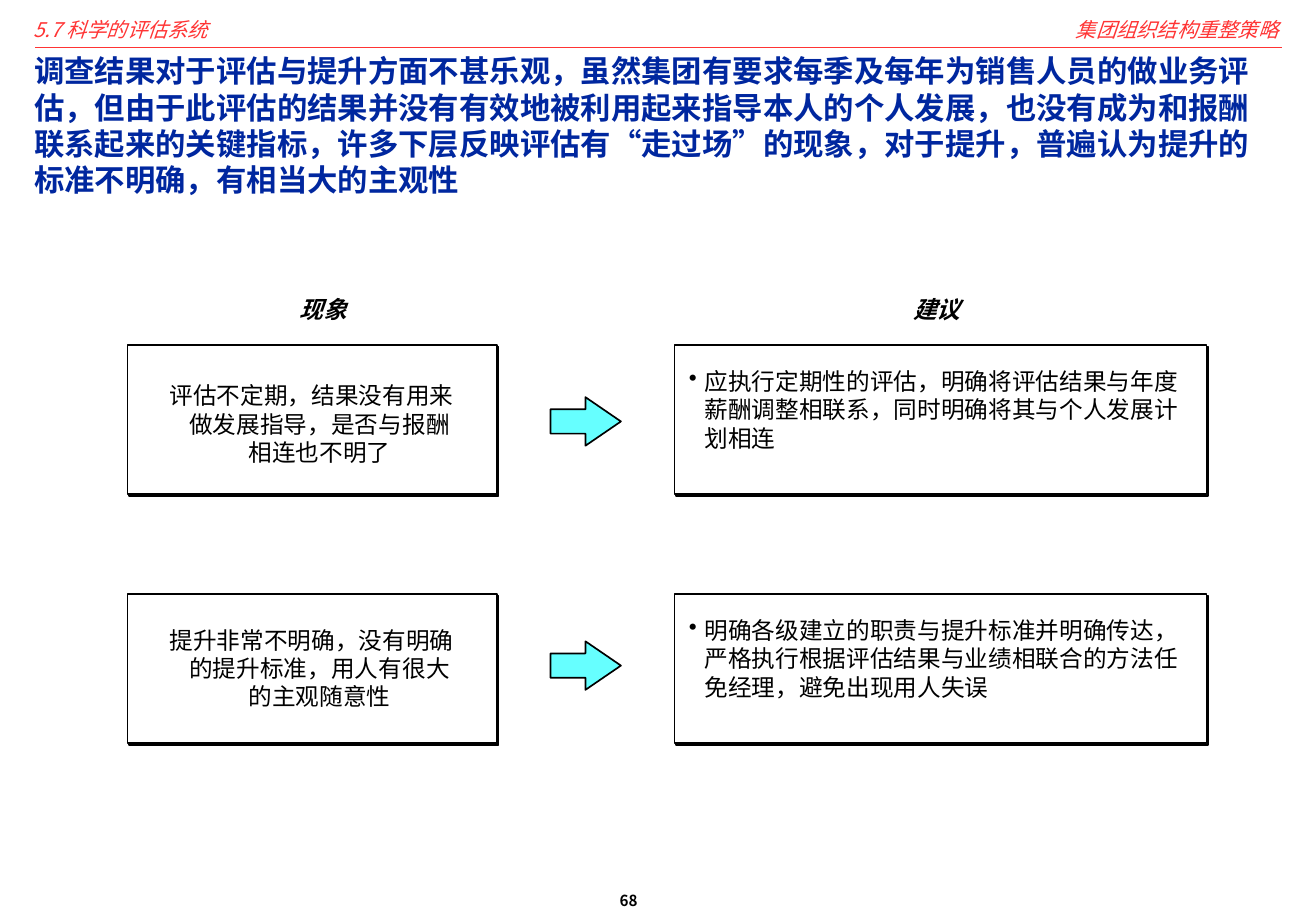
import pptx
import pptx.util
import pptx.dml.color
import pptx.enum.shapes
import pptx.enum.text
import pptx.oxml

Inches = pptx.util.Inches
RGB = pptx.dml.color.RGBColor
SHAPE = pptx.enum.shapes.MSO_SHAPE
ALIGN = pptx.enum.text.PP_ALIGN

RED = RGB(0xFF, 0x34, 0x34)
BLUE = RGB(0x00, 0x27, 0x9F)
CYAN = RGB(0x66, 0xFF, 0xFF)
BLACK = RGB(0, 0, 0)
WHITE = RGB(0xFF, 0xFF, 0xFF)
FONT = "Noto Sans CJK SC"
NS = 'xmlns:a="http://schemas.openxmlformats.org/drawingml/2006/main"'

WIDE, HIGH = 10.83, 7.5
TOP, PITCH, TALL = 2.84, 2.05, 1.23  # rows of the grid
LEFT, RIGHT = (1.05, 3.04), (5.55, 4.38)  # columns: left edge, width
ARROW = 4.53

# Finding, advice and lift of the row's finding and arrow
ROWS = [
    ("评估不定期，结果没有用来做发展指导，是否与报酬 相连也不明了",
     "应执行定期性的评估，明确将评估结果与年度薪酬调整相联系，同时明确将其与个人发展计划相连", 0),
    ("提升非常不明确，没有明确的提升标准，用人有很大 的主观随意性",
     "明确各级建立的职责与提升标准并明确传达，严格执行根据评估结果与业绩相联合的方法任免经理，避免出现用人失误", 0.04),
]
TITLE = ("调查结果对于评估与提升方面不甚乐观，虽然集团有要求每季及每年为销售人员的做业务评估，"
         "但由于此评估的结果并没有有效地被利用起来指导本人的个人发展，也没有成为和报酬联系起来的关键指标，"
         "许多下层反映评估有“走过场”的现象，对于提升，普遍认为提升的标准不明确，有相当大的主观性")


def place(box):
    return [Inches(v) for v in box]


def write(shape, text, size, color=BLACK, bold=False, slant=False,
          align=ALIGN.LEFT, pad=(0.1, 0.05), hang=False, dot=False):
    frame = shape.text_frame
    frame.text = text
    frame.word_wrap = True
    frame.auto_size = pptx.enum.text.MSO_AUTO_SIZE.NONE
    frame.vertical_anchor = pptx.enum.text.MSO_ANCHOR.TOP
    frame.margin_left = frame.margin_right = Inches(pad[0])
    frame.margin_top = frame.margin_bottom = Inches(pad[1])
    para = frame.paragraphs[0]
    para.alignment = align
    para.space_before = pptx.util.Pt(0)
    para.line_spacing = 1.0
    if hang:
        props = para._p.get_or_add_pPr()
        props.set("marL", str(Inches(0.13)))
        props.set("indent", str(-Inches(0.13)))
        if dot:
            props.append(pptx.oxml.parse_xml(f'<a:buChar {NS} char="•"/>'))
    font = para.runs[0].font
    font.name, font.size = FONT, pptx.util.Pt(size)
    font.bold, font.italic = bold, slant
    font.color.rgb = color


def label(slide, box, text, size, **style):
    write(slide.shapes.add_textbox(*place(box)), text, size, **style)


def draw(slide, kind, box, fill):
    shape = slide.shapes.add_shape(kind, *place(box))
    shape.shadow.inherit = False
    shape.fill.solid()
    shape.fill.fore_color.rgb = fill
    shape.line.color.rgb = BLACK
    shape.line.width = pptx.util.Pt(1)
    return shape


def panel(slide, box):
    shape = draw(slide, SHAPE.RECTANGLE, box, WHITE)
    effects = shape._element.spPr.find(pptx.oxml.ns.qn("a:effectLst"))
    effects.append(pptx.oxml.parse_xml(
        f'<a:outerShdw {NS} dist="17780" dir="2700000" algn="ctr" rotWithShape="0">'
        '<a:srgbClr val="000000"/></a:outerShdw>'))


def header(slide, box):
    left, top, width, height = box
    rule = slide.shapes.add_connector(
        pptx.enum.shapes.MSO_CONNECTOR.STRAIGHT,
        *place((left + 0.11, top + 0.35, left + 10.37, top + 0.35)))
    rule.line.color.rgb = RED
    rule.line.width = pptx.util.Pt(1)
    rule._element.spPr.append(pptx.oxml.parse_xml(f"<a:effectLst {NS}/>"))
    style = dict(color=RED, slant=True, pad=(0.1, 0.1))
    label(slide, (left, top, 3.43, 0.4), "5.7 科学的评估系统", 12, **style)
    label(slide, (left + width - 3.04, top, 3.04, 0.4), "集团组织结构重整策略", 12,
          align=ALIGN.RIGHT, **style)
    title = slide.shapes.title
    title.left, title.top, title.width, title.height = place(
        (left, top + 0.29, 10.28, height - 0.29))
    write(title, TITLE, 18, color=BLUE, bold=True, pad=(0.1, 0.1))


def row(slide, top, finding, advice, lift):
    # Finding
    left, width = LEFT
    panel(slide, (left, top, width, TALL))
    label(slide, (left + 0.22, top + 0.25 - lift, 2.59, 0.8), finding, 14,
          align=ALIGN.CENTER, hang=True)
    # Arrow
    arrow = draw(slide, SHAPE.RIGHT_ARROW, (ARROW, top + 0.43 - lift, 0.58, 0.4), CYAN)
    arrow.adjustments[1] = 0.73
    # Advice
    left, width = RIGHT
    panel(slide, (left, top, width, TALL))
    label(slide, (left + 0.02, top + 0.13, 4.25, 0.8), advice, 14, hang=True, dot=True)


def main():
    deck = pptx.Presentation()
    deck.slide_width, deck.slide_height = Inches(WIDE), Inches(HIGH)
    slide = deck.slides.add_slide(deck.slide_layouts[5])
    header(slide, (0.18, 0.04, 10.44, 1.16))
    # Column heads
    for text, left, width in (("现象", 1.22, 2.88), ("建议", 6.64, 2.14)):
        label(slide, (left, TOP - 0.46, width, 0.33), text, 14,
              bold=True, slant=True, align=ALIGN.CENTER)
    # Rows
    for index, parts in enumerate(ROWS):
        row(slide, TOP + index * PITCH, *parts)
    # Page number
    label(slide, (5.1, 7.34, 0.65, 0.17), "68", 9, bold=True, pad=(0, 0))
    deck.save("out.pptx")


if __name__ == "__main__":
    main()
